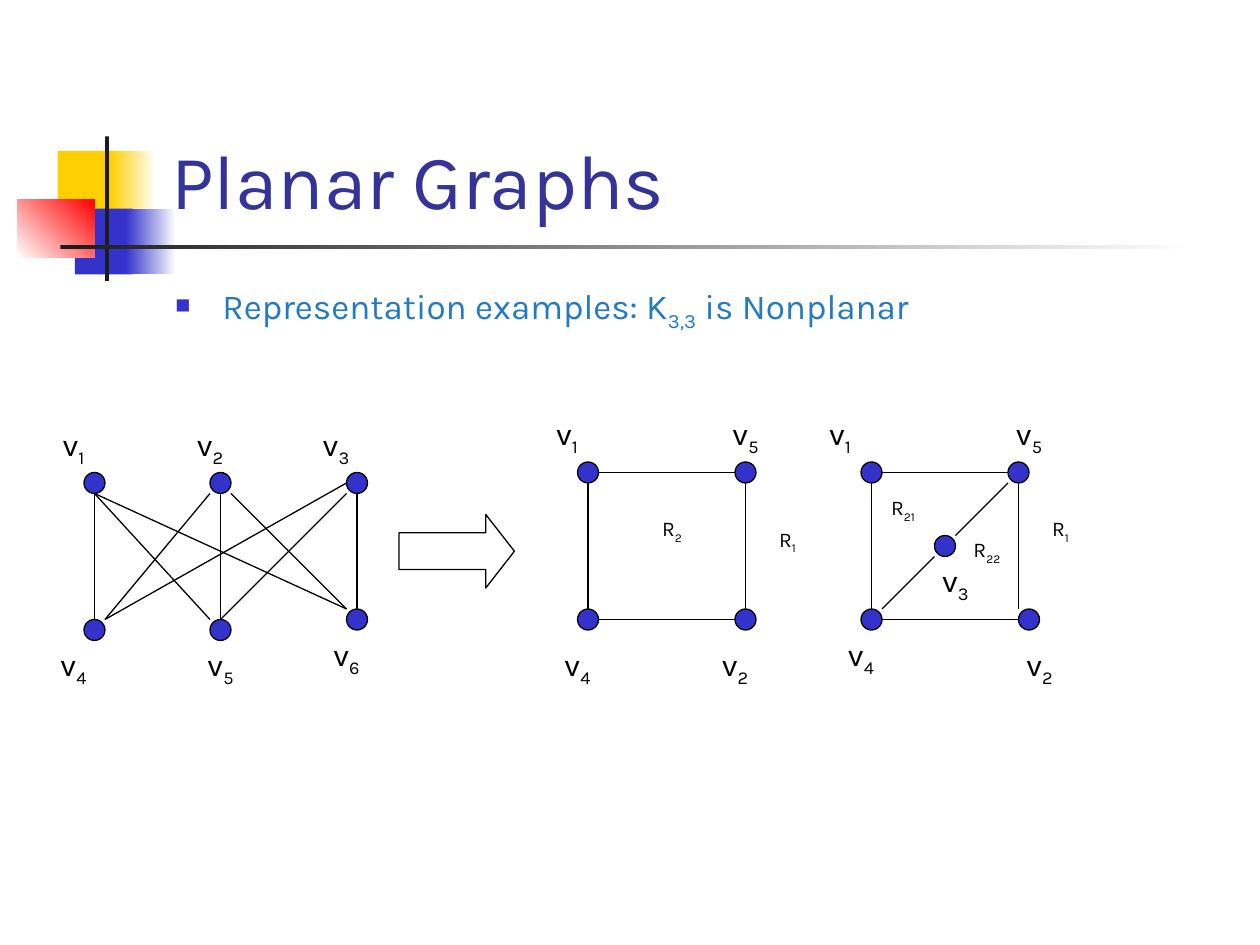
from lxml import etree
from pptx import Presentation
from pptx.dml.color import RGBColor
from pptx.enum.shapes import MSO_CONNECTOR, MSO_SHAPE
from pptx.enum.text import MSO_ANCHOR, PP_ALIGN
from pptx.oxml.ns import qn
from pptx.util import Pt

RECT, OVAL, ARROW = MSO_SHAPE.RECTANGLE, MSO_SHAPE.OVAL, MSO_SHAPE.RIGHT_ARROW
LINE = MSO_CONNECTOR.STRAIGHT
CENTER = PP_ALIGN.CENTER
TOP, MIDDLE, BOTTOM = MSO_ANCHOR.TOP, MSO_ANCHOR.MIDDLE, MSO_ANCHOR.BOTTOM

PX = 9525
FONT = "Karla"
DOT = 16
COLORS = {
    "white": "FFFFFF", "black": "000000", "ink": "1C1C1C", "gold": "FFCF01",
    "blue": "3333CC", "red": "FF0000", "title": "333399", "body": "237AC1",
}

DECOR = [
    (44, 115, 46, 50, "gold"),
    (84, 115, 35, 50, "gold", "white"),
    (57, 159, 44, 50, "blue"),
    (96, 159, 38, 50, "blue", "white"),
    (13, 152, 59, 44, "white", "red", 45),
    (80, 104, 3, 110, "ink"),
    (46, 187, 864, 3, "ink", "white"),
]
DOTS = [
    (64, 360), (160, 360), (264, 360), (64, 472), (160, 472), (264, 464),
    (440, 352), (560, 352), (440, 464), (560, 464),
    (656, 352), (768, 352), (656, 464), (776, 464), (712, 408),
]
EDGES = [
    (72, 376, 72, 472), (72, 376, 160, 472), (72, 376, 264, 464),
    (160, 376, 80, 472), (168, 376, 168, 472), (176, 376, 264, 464),
    (264, 368, 80, 472), (264, 376, 168, 472), (272, 376, 272, 464),
    (456, 360, 560, 360), (456, 472, 560, 472),
    (448, 368, 448, 464), (568, 368, 568, 464),
    (672, 360, 768, 360), (672, 472, 776, 472),
    (664, 368, 664, 464), (776, 368, 776, 464),
    (672, 464, 712, 424), (728, 408, 768, 368),
]
NODES = [
    (40, 328, "1"), (144, 328, "2"), (240, 328, "3"),
    (40, 496, "4"), (152, 496, "5"), (248, 488, "6"),
    (416, 320, "1"), (552, 320, "5"), (424, 496, "4"), (544, 496, "2"),
    (624, 320, "1"), (768, 320, "5"), (640, 488, "4"), (776, 496, "2"),
    (712, 432, "3"),
]
ZONES = [
    (584, 400, "1"), (496, 392, "2"), (672, 376, "21"),
    (792, 392, "1"), (736, 408, "22"),
]


def px(*vals):
    return [v * PX for v in vals]


def rgb(name):
    return RGBColor.from_string(COLORS[name])


def add_form(slide, kind, box, fill, line=None):
    form = slide.shapes.add_shape(kind, *px(*box))
    form.shadow.inherit = False
    form.fill.solid()
    form.fill.fore_color.rgb = rgb(fill)
    if line:
        form.line.color.rgb = rgb(line)
        form.line.width = Pt(0.75)
    else:
        form.line.fill.background()
    return form


def add_block(slide, x, y, w, h, start, end=None, angle=0):
    block = add_form(slide, RECT, (x, y, w, h), start)
    if end:
        block.fill.gradient()
        block.fill.gradient_angle = angle
        for stop, name in zip(block.fill.gradient_stops, (start, end)):
            stop.color.rgb = rgb(name)


def add_edge(slide, *ends):
    edge = slide.shapes.add_connector(LINE, *px(*ends))
    edge.line.color.rgb = rgb("black")
    edge.line.width = Pt(0.75)
    etree.SubElement(edge._element.spPr, qn("a:effectLst"))


def write(frame, parts, size, color):
    para = frame.paragraphs[0]
    for i, text in enumerate(parts):
        run = para.add_run()
        run.text = text
        if i % 2:
            run._r.get_or_add_rPr().set("baseline", "-25000")
    para.font.name = FONT
    para.font.size = Pt(size)
    para.font.color.rgb = rgb(color)
    return para


def add_label(slide, x, y, parts, size):
    label = add_form(slide, RECT, (x, y, 32, 24), "white", "white")
    frame = label.text_frame
    frame.word_wrap = False
    frame.vertical_anchor = MIDDLE
    write(frame, parts, size, "black").alignment = CENTER


def add_text(slide, box, anchor):
    frame = slide.shapes.add_textbox(*px(*box)).text_frame
    frame.word_wrap = True
    frame.vertical_anchor = anchor
    return frame


def add_bullet(para):
    props = para._p.get_or_add_pPr()
    props.set("marL", str(36 * PX))
    props.set("indent", str(-36 * PX))
    tint = etree.SubElement(props, qn("a:buClr"))
    etree.SubElement(tint, qn("a:srgbClr"), val=COLORS["blue"])
    etree.SubElement(props, qn("a:buSzPct"), val="60000")
    etree.SubElement(props, qn("a:buChar"), char="■")


def main():
    deck = Presentation()
    deck.slide_width, deck.slide_height = px(960, 720)
    slide = deck.slides.add_slide(deck.slide_layouts[6])

    for block in DECOR:
        add_block(slide, *block)

    title = add_text(slide, (121, 22, 818, 154), BOTTOM)
    write(title, ["Planar Graphs"], 44, "title")
    body = add_text(slide, (124, 212, 816, 52), TOP)
    add_bullet(body.paragraphs[0])
    write(body, ["Representation examples: K", "3,3", " is Nonplanar"], 20, "body")

    for x, y in DOTS:
        add_form(slide, OVAL, (x, y, DOT, DOT), "blue", "black")
    arrow = add_form(slide, ARROW, (304, 392, 88, 56), "white", "black")
    arrow.adjustments[0] = 0.5
    arrow.adjustments[1] = 0.39
    for ends in EDGES:
        add_edge(slide, *ends)

    for letter, size, spots in (("v", 18, NODES), ("R", 12, ZONES)):
        for x, y, sub in spots:
            add_label(slide, x, y, (letter, sub), size)

    deck.save("out.pptx")


if __name__ == "__main__":
    main()
